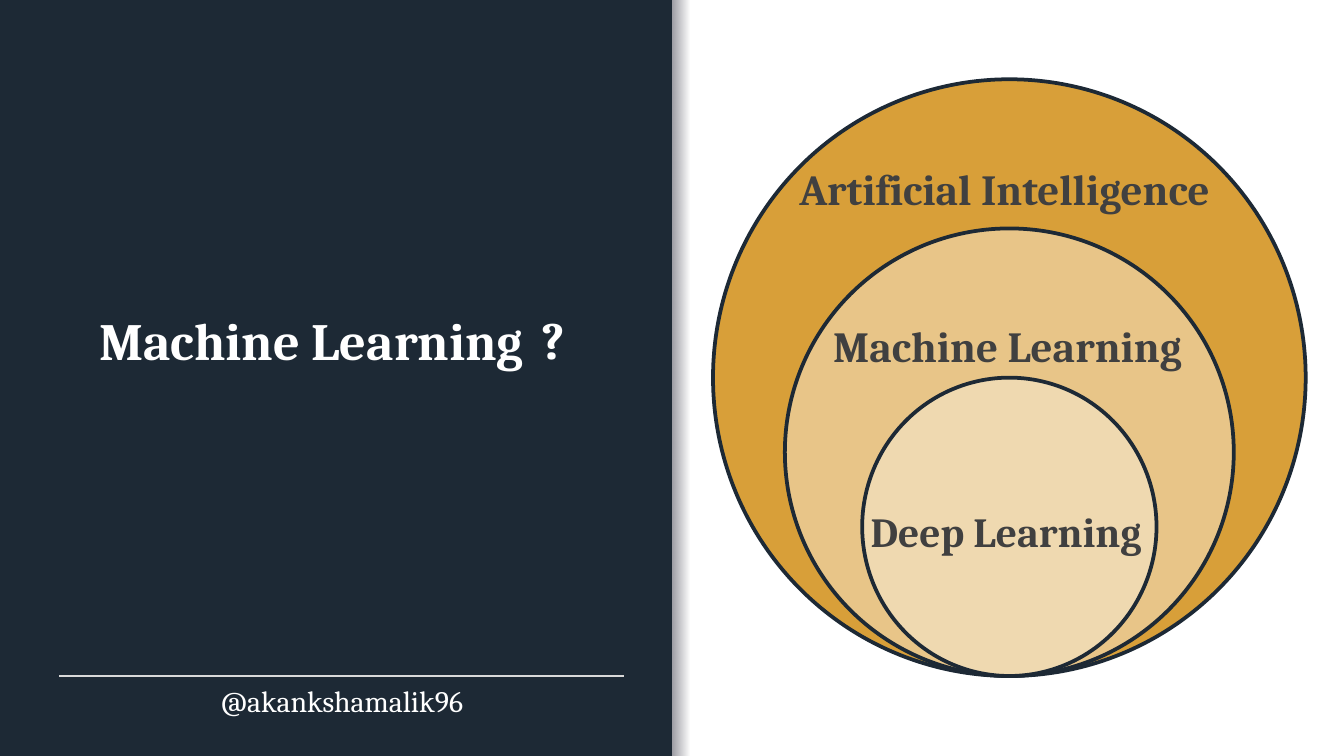
"""Build a slide that places machine learning between AI and deep learning."""
from dataclasses import dataclass

from pptx import Presentation
from pptx import util as u
from pptx.dml.color import RGBColor
from pptx.enum import shapes, text
from pptx.oxml import ns, xmlchemy

NAVY = RGBColor(0x1D, 0x29, 0x35)
SHADE = RGBColor(0x00, 0x00, 0x14)
WHITE = RGBColor(0xFF, 0xFF, 0xFF)
RULE = RGBColor(0xD9, 0xD9, 0xD9)
CHARCOAL = RGBColor(0x40, 0x40, 0x40)
GOLD = RGBColor(0xD8, 0x9F, 0x39)
SAND = RGBColor(0xE8, 0xC5, 0x88)
CREAM = RGBColor(0xEF, 0xD9, 0xB0)
FONT = "Cambria"
PAGE_WIDTH = 10
PAGE_HEIGHT = PAGE_WIDTH * 9 / 16
CENTRE_X, BASE_Y = 7.51, 5.03


@dataclass(frozen=True)
class Ring:
    width: float
    height: float
    fill: RGBColor


@dataclass(frozen=True)
class Label:
    words: str
    left: float
    top: float
    width: float
    height: float
    size: float


RINGS = [Ring(4.41, 4.44, GOLD), Ring(3.34, 3.33, SAND), Ring(2.19, 2.22, CREAM)]
LABELS = [
    Label("Artificial Intelligence", 5.85, 1.16, 3.34, 0.49, 23),
    Label("Machine Learning", 6.1, 2.33, 2.92, 0.5, 23),
    Label("Deep Learning", 6.38, 3.72, 2.47, 0.47, 22.2),
]
TITLE = Label("Machine Learning", 0.64, 2.24, 3.48, 0.57, 28)
QUESTION = Label("?", 3.93, 2.24, 0.45, 0.57, 28)
HANDLE = Label("@akankshamalik96", 0.69, 5.03, 3.71, 0.36, 16)


def place(box, left: float, top: float, width: float, height: float) -> None:
    """Set the position and size of a shape in inches."""
    box.left, box.top = u.Inches(left), u.Inches(top)
    box.width, box.height = u.Inches(width), u.Inches(height)


def write(box, label: Label, *, color: RGBColor, bold: bool = True,
          align=text.PP_ALIGN.LEFT, anchor=text.MSO_ANCHOR.TOP) -> None:
    """Place a box and fill it with one formatted line."""
    place(box, label.left, label.top, label.width, label.height)
    frame = box.text_frame
    frame.word_wrap = True
    frame.auto_size = text.MSO_AUTO_SIZE.NONE
    frame.vertical_anchor = anchor
    para = frame.paragraphs[0]
    para.alignment = align
    para.line_spacing = 1.0
    span = para.add_run()
    span.text = label.words
    span.font.name, span.font.size = FONT, u.Pt(label.size)
    span.font.bold, span.font.color.rgb = bold, color


def add_label(page, label: Label, **style) -> None:
    """Add a text box for a label."""
    write(page.shapes.add_textbox(0, 0, 0, 0), label, **style)


def add_panel(page, left: float, width: float):
    """Add a full-height navy rectangle without an outline."""
    panel = page.shapes.add_shape(shapes.MSO_SHAPE.RECTANGLE, 0, 0, 0, 0)
    place(panel, left, 0, width, PAGE_HEIGHT)
    panel.shadow.inherit = False
    panel.line.fill.background()
    panel.fill.solid()
    panel.fill.fore_color.rgb = NAVY
    return panel


def add_edge_shade(page) -> None:
    """Add the strip that fades out to the right of the panel."""
    strip = add_panel(page, 4.97, 0.16)
    strip.fill.gradient()
    strip.fill.gradient_angle = 0
    for stop in strip.fill.gradient_stops:
        stop.color.rgb = SHADE
    colors = list(strip.element.spPr.iter(ns.qn("a:srgbClr")))
    for color, opacity in zip(colors, ("50000", "0")):
        alpha = xmlchemy.OxmlElement("a:alpha")
        alpha.set("val", opacity)
        color.append(alpha)


def add_rule(page) -> None:
    """Add the thin line above the handle."""
    rule = page.shapes.add_connector(
        shapes.MSO_CONNECTOR.STRAIGHT, u.Inches(0.44), u.Inches(BASE_Y),
        u.Inches(4.64), u.Inches(BASE_Y))
    rule.line.color.rgb, rule.line.width = RULE, u.Pt(0.75)
    rule.element.spPr.append(xmlchemy.OxmlElement("a:effectLst"))


def add_ring(page, ring: Ring) -> None:
    """Add an ellipse that stands on the shared base point."""
    oval = page.shapes.add_shape(shapes.MSO_SHAPE.OVAL, 0, 0, 0, 0)
    place(oval, CENTRE_X - ring.width / 2, BASE_Y - ring.height,
          ring.width, ring.height)
    oval.shadow.inherit = False
    oval.fill.solid()
    oval.fill.fore_color.rgb = ring.fill
    oval.line.color.rgb, oval.line.width = NAVY, u.Pt(2)


def main() -> None:
    """Build and save the deck."""
    deck = Presentation()
    deck.slide_width = u.Inches(PAGE_WIDTH)
    deck.slide_height = u.Inches(PAGE_HEIGHT)
    page = deck.slides.add_slide(deck.slide_layouts[5])
    add_edge_shade(page)
    add_panel(page, 0, PAGE_WIDTH / 2)
    add_rule(page)
    add_label(page, HANDLE, color=WHITE, bold=False,
              align=text.PP_ALIGN.CENTER, anchor=text.MSO_ANCHOR.MIDDLE)
    title = page.shapes.title
    title.element.getparent().append(title.element)
    write(title, TITLE, color=WHITE)
    add_label(page, QUESTION, color=WHITE)
    for ring in RINGS:
        add_ring(page, ring)
    for label in LABELS:
        add_label(page, label, color=CHARCOAL)
    deck.save("out.pptx")


if __name__ == "__main__":
    main()
